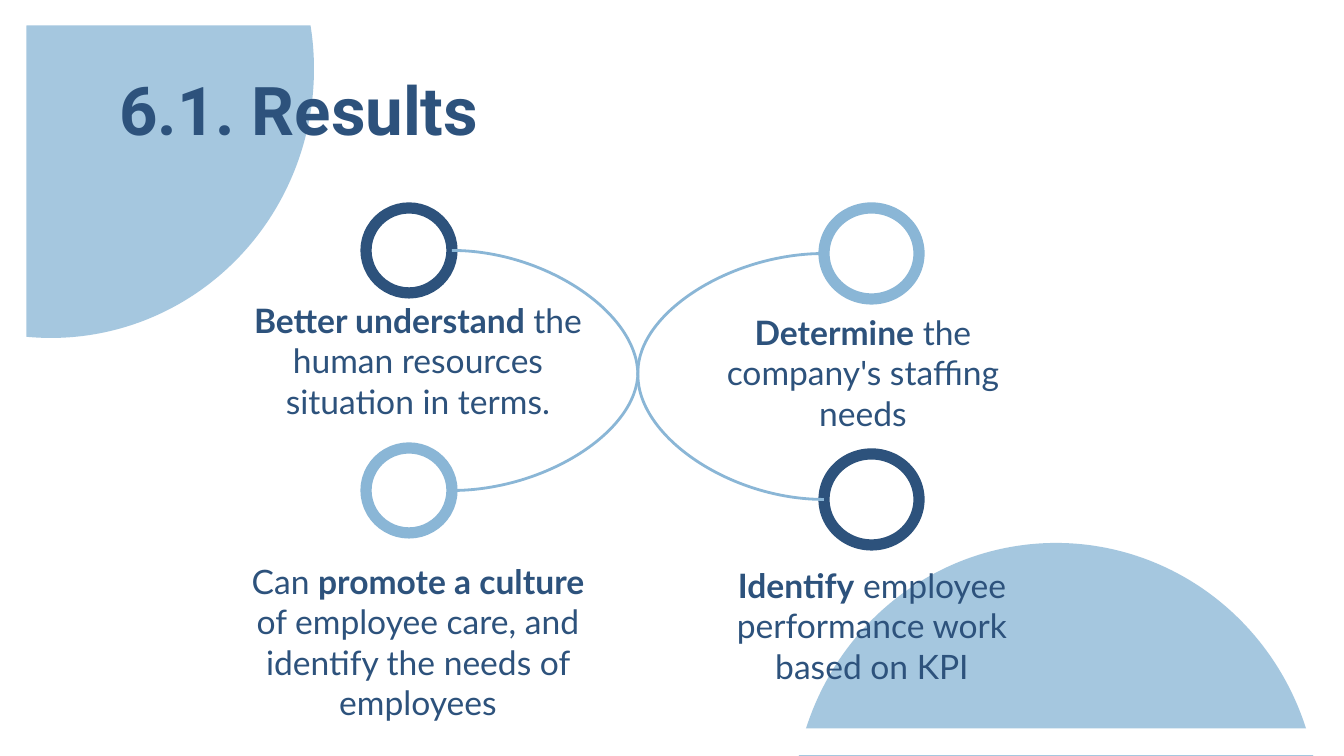
from lxml import etree
from pptx import Presentation
from pptx.dml.color import RGBColor
from pptx.enum.shapes import MSO_CONNECTOR, MSO_SHAPE
from pptx.enum.text import MSO_ANCHOR, PP_ALIGN
from pptx.oxml.ns import qn
from pptx.util import Pt

NAVY = RGBColor(0x2D, 0x52, 0x7C)
SKY = RGBColor(0x8A, 0xB6, 0xD6)
WHITE = RGBColor(0xFF, 0xFF, 0xFF)

PX = 914400 / 134.4
SLIDE_W, SLIDE_H = 1344, 756
INSET = 13
LINE_H = 40

TITLE_BOX = (106, 66, 1133, 85)
CORNER_CIRCLES = [(793, 543), (-212, -200)]
CIRCLE_SIZE = (526, 538)

# ring box, ring colour
LEFT_RINGS = [((366, 208, 86, 85), NAVY), ((366, 448, 86, 85), SKY)]
RIGHT_RINGS = [((824, 208, 95, 91), SKY), ((824, 454, 95, 91), NAVY)]

# left, top, lines left free below the text, (words, bold) runs
RESULTS = [
    (230, 345, 1, [("Better understand", True),
                   (" the human resources situation in terms.", False)]),
    (675, 337, 0, [("Determine", True),
                   (" the company's staffing needs", False)]),
    (230, 606, 0, [("Can ", False), ("promote a culture", True),
                   (" of employee care, and identify the needs of employees", False)]),
    (684, 590, 0, [("Identify", True),
                   (" employee performance work based on KPI", False)]),
]
RESULT_SIZE = (376, 71)


def emu(*lengths):
    return [round(length * PX) for length in lengths]


def apply_format(target, values):
    for name, value in values.items():
        setattr(target, name, value)


def format_frame(frame, space_below=0):
    side = emu(INSET)[0]
    apply_format(frame, {
        "word_wrap": True, "vertical_anchor": MSO_ANCHOR.MIDDLE,
        "margin_left": side, "margin_right": side, "margin_top": side,
        "margin_bottom": emu(INSET + space_below)[0],
    })


def add_run(paragraph, words, font_name, size, bold):
    run = paragraph.add_run()
    run.text = words
    apply_format(run.font, {"name": font_name, "size": Pt(size), "bold": bold})
    run.font.color.rgb = NAVY


def add_filled(slide, kind, box, color):
    shape = slide.shapes.add_shape(kind, *emu(*box))
    shape.shadow.inherit = False
    shape.fill.solid()
    shape.fill.fore_color.rgb = color
    shape.line.fill.background()
    return shape


def add_backdrop(slide, width, height):
    """Two translucent corner circles, trimmed by a white frame."""
    for corner in CORNER_CIRCLES:
        circle = add_filled(slide, MSO_SHAPE.OVAL, corner + CIRCLE_SIZE, SKY)
        color = circle.element.spPr.find(qn("a:solidFill"))[0]
        etree.SubElement(color, qn("a:alpha"), val="76000")
    frame = add_filled(slide, MSO_SHAPE.FRAME, (0, -1, width, height), WHITE)
    frame.adjustments[0] = 0.035


def add_title(slide, box):
    title = slide.shapes.title
    title.element.getparent().append(title.element)  # in front of the backdrop
    apply_format(title, dict(zip(("left", "top", "width", "height"), emu(*box))))
    format_frame(title.text_frame)
    paragraph = title.text_frame.paragraphs[0]
    paragraph.alignment = PP_ALIGN.LEFT
    add_run(paragraph, "6.1. Results", "Roboto", 36, True)


def add_result(slide, box, free_lines, runs):
    frame = slide.shapes.add_textbox(*emu(*box)).text_frame
    format_frame(frame, free_lines * LINE_H)
    paragraph = frame.paragraphs[0]
    paragraph.alignment = PP_ALIGN.CENTER
    for words, bold in runs:
        add_run(paragraph, words, "Lato", 18, bold)


def add_ring(slide, box, color):
    ring = slide.shapes.add_shape(MSO_SHAPE.OVAL, *emu(*box))
    ring.shadow.inherit = False
    ring.fill.background()
    ring.line.color.rgb = color
    ring.line.width = Pt(6)


def add_curve(slide, start, end):
    curve = slide.shapes.add_connector(MSO_CONNECTOR.CURVE, *emu(*start, *end))
    curve.line.color.rgb = SKY
    curve.line.width = Pt(1.5)
    etree.SubElement(curve.element.spPr, qn("a:effectLst"))


def add_ring_web(slide, left_rings, right_rings):
    """Four rings, each left one joined to the right one diagonally opposite."""
    for box, color in left_rings + right_rings:
        add_ring(slide, box, color)
    left_ends = [(x + w, y + h / 2) for (x, y, w, h), _ in left_rings]
    right_ends = [(x, y + h / 2) for (x, y, w, h), _ in right_rings]
    add_curve(slide, left_ends[0], right_ends[1])
    add_curve(slide, right_ends[0], left_ends[1])


def main():
    deck = Presentation()
    deck.slide_width, deck.slide_height = emu(SLIDE_W, SLIDE_H)
    slide = deck.slides.add_slide(deck.slide_layouts[5])
    add_backdrop(slide, SLIDE_W, SLIDE_H)
    for left, top, free_lines, runs in RESULTS:
        add_result(slide, (left, top) + RESULT_SIZE, free_lines, runs)
    add_title(slide, TITLE_BOX)
    add_ring_web(slide, LEFT_RINGS, RIGHT_RINGS)
    deck.save("out.pptx")


if __name__ == "__main__":
    main()
